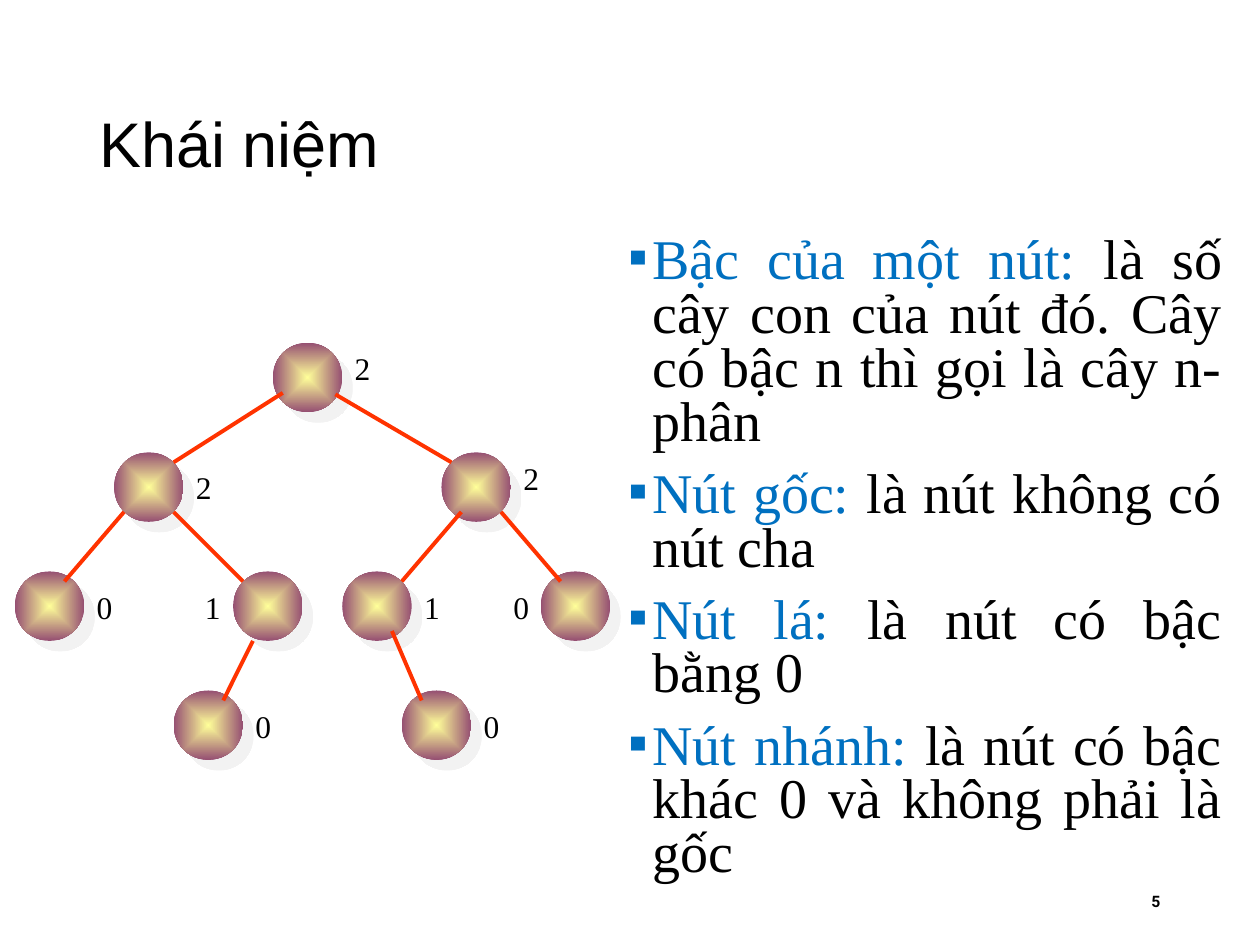
from dataclasses import dataclass

from lxml import etree
from pptx import Presentation
from pptx.dml.color import RGBColor
from pptx.enum.shapes import MSO_CONNECTOR, MSO_SHAPE
from pptx.enum.text import MSO_ANCHOR, PP_ALIGN
from pptx.oxml.ns import qn
from pptx.util import Cm, Pt

ELLIPSE = MSO_SHAPE.OVAL
STRAIGHT = MSO_CONNECTOR.STRAIGHT
TOP, MIDDLE = MSO_ANCHOR.TOP, MSO_ANCHOR.MIDDLE
LEFT, RIGHT, JUSTIFY = PP_ALIGN.LEFT, PP_ALIGN.RIGHT, PP_ALIGN.JUSTIFY


@dataclass(frozen=True)
class Theme:
    ink: str = "000000"
    term: str = "0070C0"
    edge: str = "FF3300"
    node_center: str = "FFFF99"
    node_rim: str = "954F72"
    shadow: str = "E7E6E6"
    heading_font: str = "Arial"
    body_font: str = "Times New Roman"
    number_font: str = "Roboto"
    heading_size: float = 36
    body_size: float = 32
    label_size: float = 18
    number_size: float = 9
    edge_width: float = 2.25
    node_size: float = 1.4


class TreeSlide:
    def __init__(self, deck, theme):
        self.theme = theme
        self.page = deck.slides.add_slide(deck.slide_layouts[6])

    def frame(self, left, top, width, height, anchor=TOP, wrap=True):
        box = self.page.shapes.add_textbox(Cm(left), Cm(top), Cm(width), Cm(height))
        box.text_frame.word_wrap = wrap
        box.text_frame.vertical_anchor = anchor
        return box.text_frame

    def span(self, para, text, font, size, color, bold=False):
        span = para.add_run()
        span.text = text
        span.font.name = font
        span.font.size = Pt(size)
        span.font.bold = bold
        span.font.color.rgb = RGBColor.from_string(color)

    def line_of_text(self, place, text, font, size, anchor=TOP, align=LEFT, bold=False, wrap=True):
        para = self.frame(*place, anchor, wrap).paragraphs[0]
        para.alignment = align
        self.span(para, text, font, size, self.theme.ink, bold)

    def definitions(self, place, entries):
        theme = self.theme
        frame = self.frame(*place)
        for index, (term, meaning) in enumerate(entries):
            para = frame.add_paragraph() if index else frame.paragraphs[0]
            para.alignment = JUSTIFY
            para.line_spacing = 0.8
            para.space_before = Pt(10.5)
            properties = para._p.get_or_add_pPr()
            properties.set("marL", str(Cm(0.48)))
            properties.set("indent", str(-Cm(0.48)))
            etree.SubElement(properties, qn("a:buFont"), typeface=theme.body_font)
            etree.SubElement(properties, qn("a:buChar"), char="▪")
            self.span(para, term, theme.body_font, theme.body_size, theme.term)
            self.span(para, meaning, theme.body_font, theme.body_size, theme.ink)

    def node(self, left, top):
        theme = self.theme
        size = Cm(theme.node_size)
        shape = self.page.shapes.add_shape(ELLIPSE, Cm(left), Cm(top), size, size)
        shape.shadow.inherit = False
        shape.line.fill.background()
        shape.fill.gradient()
        for stop, color in zip(shape.fill.gradient_stops, (theme.node_center, theme.node_rim)):
            stop.color.rgb = RGBColor.from_string(color)
        gradient = shape._element.spPr.find(qn("a:gradFill"))
        gradient.remove(gradient.find(qn("a:lin")))
        spread = etree.SubElement(gradient, qn("a:path"))
        spread.set("path", "shape")
        etree.SubElement(spread, qn("a:fillToRect"), l="50000", t="50000", r="50000", b="50000")
        effects = shape._element.spPr.find(qn("a:effectLst"))
        shadow = etree.SubElement(effects, qn("a:outerShdw"), dist=str(Pt(8.5)),
                                  dir="2700000", algn="ctr", rotWithShape="0")
        color = etree.SubElement(shadow, qn("a:srgbClr"), val=theme.shadow)
        etree.SubElement(color, qn("a:alpha"), val="50000")

    def edge(self, x1, y1, x2, y2):
        line = self.page.shapes.add_connector(STRAIGHT, Cm(x1), Cm(y1), Cm(x2), Cm(y2))
        line.line.color.rgb = RGBColor.from_string(self.theme.edge)
        line.line.width = Pt(self.theme.edge_width)
        etree.SubElement(line._element.spPr, qn("a:effectLst"))

    def degree(self, left, top, text):
        self.line_of_text((left, top, 0.84, 1.02), text, self.theme.body_font,
                          self.theme.label_size, wrap=False)


DEFINITIONS = [
    ("Bậc của một nút: ", "là số cây con của nút đó. Cây có bậc n thì gọi là cây n-phân "),
    ("Nút gốc: ", "là nút không có nút cha"),
    ("Nút lá: ", "là nút có bậc bằng 0 "),
    ("Nút nhánh: ", "là nút có bậc khác 0 và không phải là gốc"),
]
LEVELS = [6.91, 9.12, 11.52, 13.92]
NODES = [
    (5.5, 0, "2", 1.4, 0), (2.3, 1, "2", 1.4, 0.2), (8.9, 1, "2", 1.4, 0),
    (0.3, 2, "0", 1.4, 0.2), (4.7, 2, "1", -0.82, 0.2),
    (6.9, 2, "1", 1.4, 0.2), (10.9, 2, "0", -0.8, 0.2),
    (8.1, 3, "0", 1.4, 0.2), (3.5, 3, "0", 1.4, 0.2),
]
EDGES = [
    (5.7, 7.92, 3.5, 9.32), (6.76, 7.95, 9.1, 9.32),
    (2.5, 10.32, 1.3, 11.72), (3.5, 10.32, 4.9, 11.72),
    (9.3, 10.32, 8.1, 11.72), (10.1, 10.32, 11.3, 11.72),
    (5.1, 12.92, 4.5, 14.12), (7.9, 12.72, 8.5, 14.12),
]

deck = Presentation()
deck.slide_width, deck.slide_height = Cm(25.4), Cm(19.05)
theme = Theme()
slide = TreeSlide(deck, theme)
slide.line_of_text((1.75, 1.02, 21.9, 3.68), "Khái niệm", theme.heading_font,
                   theme.heading_size, MIDDLE)
slide.definitions((12.42, 4.65, 12.47, 13.46), DEFINITIONS)
slide.line_of_text((16.81, 17.65, 6.83, 1.02), "5", theme.number_font,
                   theme.number_size, MIDDLE, RIGHT, True)
for left, level, *_ in NODES:
    slide.node(left, LEVELS[level])
for edge in EDGES:
    slide.edge(*edge)
for left, level, text, shift_x, shift_y in NODES:
    slide.degree(left + shift_x, LEVELS[level] + shift_y, text)
deck.save("out.pptx")
